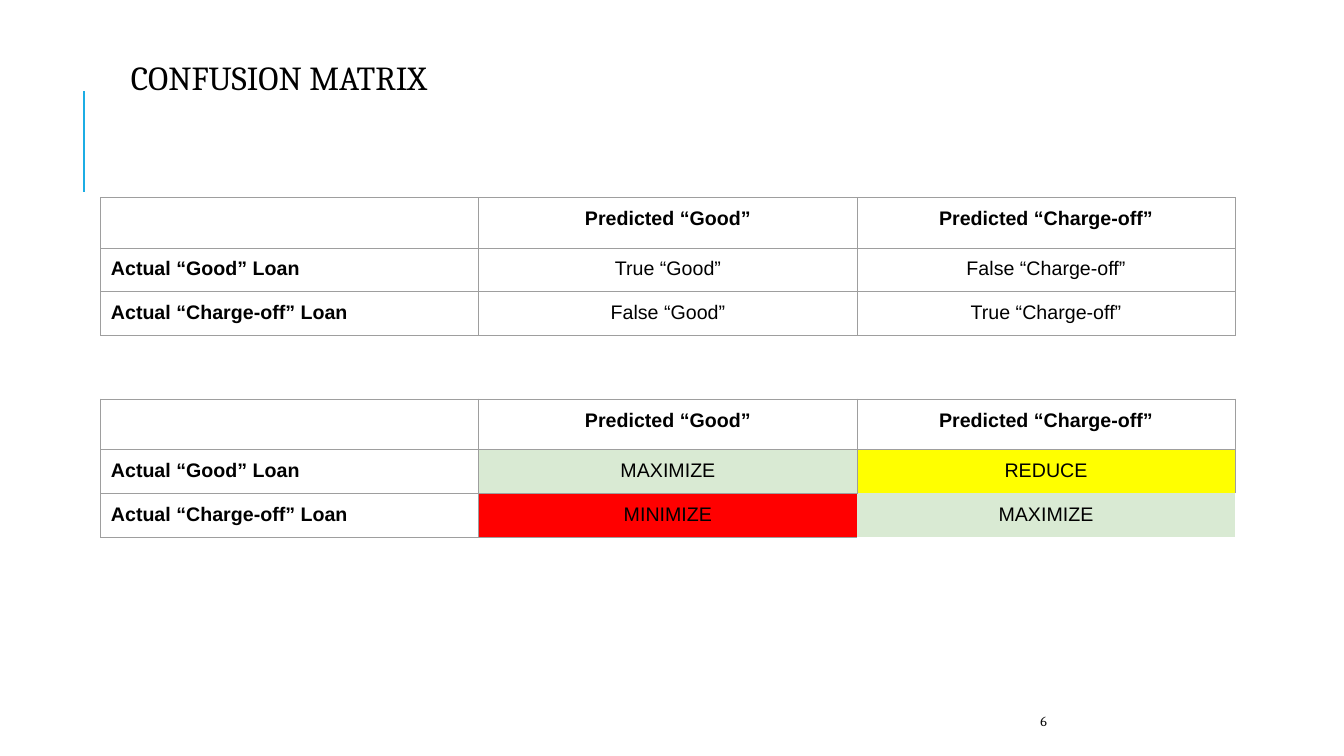
from lxml import etree
from pptx import Presentation
from pptx import util as u
from pptx.dml.color import RGBColor
from pptx.enum import shapes, text
from pptx.oxml.ns import qn

PX = 9144  # EMU per px, 100 px to the inch
COLORS = {
    "black": "000000",
    "number": "0C0C0C",
    "accent": "1CADE4",
    "grid": "9E9E9E",
    "green": "D9EAD3",
    "yellow": "FFFF00",
    "red": "FF0000",
}
HEADER = ["", "Predicted “Good”", "Predicted “Charge-off”"]
ROW_NAMES = ["Actual “Good” Loan", "Actual “Charge-off” Loan"]
OUTCOMES = [["True “Good”", "False “Charge-off”"],
            ["False “Good”", "True “Charge-off”"]]
GOALS = [["MAXIMIZE", "REDUCE"], ["MINIMIZE", "MAXIMIZE"]]
GOAL_FILLS = {(1, 1): "green", (1, 2): "yellow", (2, 1): "red", (2, 2): "green"}
GOAL_EDGES = {(1, 2): "LRT", (2, 1): "LTB", (2, 2): ""}


def px(value):
    return u.Emu(value * PX)


def rgb(name):
    return RGBColor.from_string(COLORS[name])


def write(frame, words, size=14, font="Arial", color="black", bold=False,
          centered=False):
    para = frame.paragraphs[0]
    para.alignment = text.PP_ALIGN.CENTER if centered else text.PP_ALIGN.LEFT
    span = para.add_run()
    span.text = words
    span.font.size = u.Pt(size)
    span.font.name = font
    span.font.bold = bold
    span.font.color.rgb = rgb(color)


def add_text(page, bounds, words, inset=10, anchor=text.MSO_ANCHOR.TOP, **style):
    box = page.shapes.add_textbox(*map(px, bounds))
    frame = box.text_frame
    frame.word_wrap = True
    frame.vertical_anchor = anchor
    frame.margin_left = frame.margin_right = px(10)
    frame.margin_top = frame.margin_bottom = px(inset)
    write(frame, words, **style)


def add_accent_line(page, x, top, bottom):
    line = page.shapes.add_connector(
        shapes.MSO_CONNECTOR.STRAIGHT, px(x), px(bottom), px(x), px(top))
    line.line.color.rgb = rgb("accent")
    line.line.width = u.Pt(1.5)
    etree.SubElement(line._element.spPr, qn("a:effectLst"))


def set_borders(cell, edges):
    properties = cell._tc.get_or_add_tcPr()
    for position, edge in enumerate("LRTB"):
        border = etree.Element(qn(f"a:ln{edge}"), w=str(u.Pt(0.75)))
        if edge in edges:
            fill = etree.SubElement(border, qn("a:solidFill"))
            etree.SubElement(fill, qn("a:srgbClr"), val=COLORS["grid"])
        else:
            etree.SubElement(border, qn("a:noFill"))
        properties.insert(position, border)


def add_matrix(page, top, values, fills, edges):
    rows = [HEADER] + [[name, *row] for name, row in zip(ROW_NAMES, values)]
    table = page.shapes.add_table(
        3, 3, px(100), px(top), px(3 * 375), px(3 * 42)).table
    table.first_row = table.horz_banding = False
    for r, row in enumerate(rows):
        for c, words in enumerate(row):
            cell = table.cell(r, c)
            cell.margin_left = cell.margin_right = px(10)
            cell.margin_top = cell.margin_bottom = px(10)
            if (r, c) in fills:
                cell.fill.solid()
                cell.fill.fore_color.rgb = rgb(fills[r, c])
            else:
                cell.fill.background()
            set_borders(cell, edges.get((r, c), "LRTB"))
            if words:
                write(cell.text_frame, words, bold=r == 0 or c == 0,
                      centered=c > 0)


def main():
    deck = Presentation()
    deck.slide_width, deck.slide_height = px(1333), px(750)
    page = deck.slides.add_slide(deck.slide_layouts[6])

    # Accent, page number and title
    add_accent_line(page, 83, 90, 190)
    add_text(page, (1022, 695, 311, 40), "6", inset=5,
             anchor=text.MSO_ANCHOR.MIDDLE, size=10, font="Cambria",
             color="number")
    add_text(page, (120, 46, 1085, 61), "CONFUSION MATRIX", size=24,
             font="Cambria")

    # Outcomes above, goals below
    add_matrix(page, 196, OUTCOMES, {}, {})
    add_matrix(page, 396, GOALS, GOAL_FILLS, GOAL_EDGES)

    deck.save("out.pptx")


if __name__ == "__main__":
    main()
